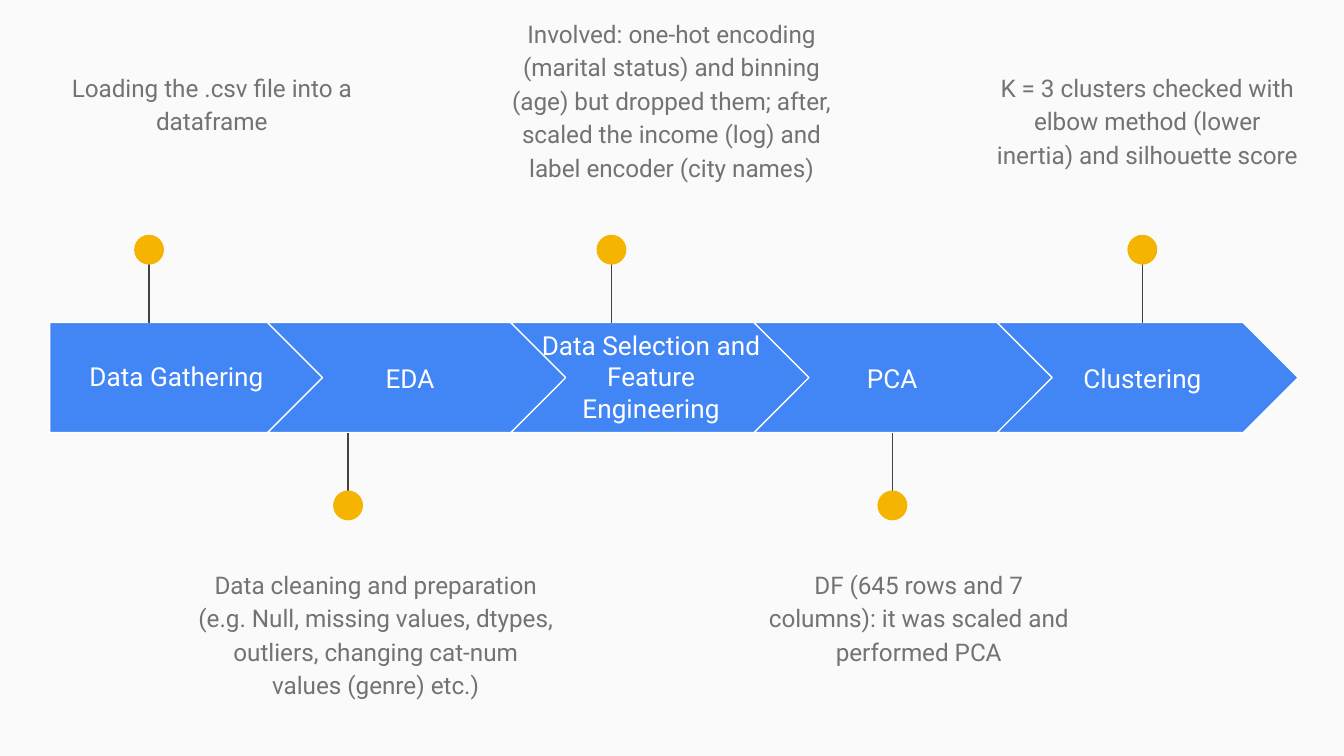
import dataclasses

import pptx
import pptx.dml.color
import pptx.enum.shapes
import pptx.enum.text
import pptx.oxml.ns
import pptx.slide
import pptx.util
from lxml import etree

Pt = pptx.util.Pt
Shape = pptx.enum.shapes.MSO_SHAPE
Anchor = pptx.enum.text.MSO_ANCHOR

FONT = "Roboto"
BACKGROUND, BLUE, WHITE = "FAFAFA", "4285F4", "FFFFFF"
YELLOW, DARK, GRAY = "F4B400", "424242", "737373"

# Arrow band, in points
BAND_TOP, BAND_HEIGHT = 172.8, 59
FIRST_LEFT, FIRST_WIDTH = 26.6, 147.6
CHEVRON_LEFT, CHEVRON_WIDTH, CHEVRON_STEP = 143.3, 161.3, 130.3

# Pins, in points
DOT_SIZE, PIN_LENGTH, DOT_OFFSET = 16, 44, 39


@dataclasses.dataclass
class Area:
    left: float
    top: float
    width: float
    height: float

    def lengths(self) -> list[pptx.util.Length]:
        return [Pt(value) for value in dataclasses.astuple(self)]


@dataclasses.dataclass
class Stage:
    label: str
    label_area: Area
    pin_x: float
    note: str
    note_area: Area


def wide_label(left: float) -> Area:
    return Area(left, 172.1, 136, 59)


def narrow_label(left: float) -> Area:
    return Area(left, 184.3, 103.7, 36.7)


# Stages alternate: notes above the band, then below it
STAGES = [
    Stage("Data Gathering", wide_label(26.6), 79.9,
          "Loading the .csv file into a dataframe",
          Area(25.2, 29.5, 176.4, 71.3)),
    Stage("EDA", narrow_label(167.8), 186.5,
          "Data cleaning and preparation (e.g. Null, missing values, dtypes, "
          "outliers, changing cat-num values (genre) etc.)",
          Area(97.9, 295.9, 206.6, 105.1)),
    Stage("Data Selection and Feature Engineering", wide_label(280.8), 327.6,
          "Involved: one-hot encoding (marital status) and binning (age) but "
          "dropped them; after, scaled the income (log) and label encoder "
          "(city names)",
          Area(259.2, 0.7, 200.9, 115.2)),
    Stage("PCA", narrow_label(426.2), 478.1,
          "DF (645 rows and 7 columns): it was scaled and performed PCA",
          Area(403.9, 295.9, 176.4, 71.3)),
    Stage("Clustering", narrow_label(560.2), 612,
          "K = 3 clusters checked with elbow method (lower inertia) and "
          "silhouette score",
          Area(526.3, 29.5, 176.4, 71.3)),
]


def color(value: str) -> pptx.dml.color.RGBColor:
    return pptx.dml.color.RGBColor.from_string(value)


def add_arrow(page: pptx.slide.Slide, index: int) -> None:
    if index == 0:
        kind, left, width = Shape.PENTAGON, FIRST_LEFT, FIRST_WIDTH
    else:
        kind, width = Shape.CHEVRON, CHEVRON_WIDTH
        left = CHEVRON_LEFT + (index - 1) * CHEVRON_STEP
    area = Area(left, BAND_TOP, width, BAND_HEIGHT)
    arrow = page.shapes.add_shape(kind, *area.lengths())
    arrow.adjustments[0] = 0.5
    arrow.shadow.inherit = False
    arrow.fill.solid()
    arrow.fill.fore_color.rgb = color(BLUE)
    arrow.line.color.rgb = color(WHITE)
    arrow.line.width = Pt(0.75)


def add_text(page: pptx.slide.Slide, area: Area, text: str, size: float,
             text_color: str, anchor: Anchor) -> pptx.text.text._Paragraph:
    box = page.shapes.add_textbox(*area.lengths())
    frame = box.text_frame
    frame.word_wrap = True
    frame.vertical_anchor = anchor
    frame.margin_left = frame.margin_right = Pt(7.2)
    frame.margin_top = frame.margin_bottom = Pt(7.2)
    para = frame.paragraphs[0]
    para.alignment = pptx.enum.text.PP_ALIGN.CENTER
    span = para.add_run()
    span.text = text
    span.font.name = FONT
    span.font.size = Pt(size)
    span.font.color.rgb = color(text_color)
    return para


def add_pin(page: pptx.slide.Slide, x: float, above: bool) -> None:
    edge = BAND_TOP if above else BAND_TOP + BAND_HEIGHT
    direction = -1 if above else 1
    group = page.shapes.add_group_shape()

    # Stem
    stem = group.shapes.add_connector(
        pptx.enum.shapes.MSO_CONNECTOR.STRAIGHT,
        Pt(x), Pt(edge + direction * PIN_LENGTH), Pt(x), Pt(edge))
    stem.line.color.rgb = color(DARK)
    stem.line.width = Pt(0.75)
    etree.SubElement(stem._element.spPr, pptx.oxml.ns.qn("a:effectLst"))

    # Head
    center = edge + direction * DOT_OFFSET
    area = Area(x - DOT_SIZE / 2, center - DOT_SIZE / 2, DOT_SIZE, DOT_SIZE)
    dot = group.shapes.add_shape(Shape.OVAL, *area.lengths())
    dot.shadow.inherit = False
    dot.fill.solid()
    dot.fill.fore_color.rgb = color(YELLOW)
    dot.line.fill.background()


def main() -> None:
    deck = pptx.Presentation()
    deck.slide_width, deck.slide_height = Pt(720), Pt(405)
    page = deck.slides.add_slide(deck.slide_layouts[6])
    page.background.fill.solid()
    page.background.fill.fore_color.rgb = color(BACKGROUND)

    for index, stage in enumerate(STAGES):
        add_arrow(page, index)
        add_text(page, stage.label_area, stage.label, 14, WHITE, Anchor.MIDDLE)
        add_pin(page, stage.pin_x, above=index % 2 == 0)
        note = add_text(page, stage.note_area, stage.note, 13, GRAY, Anchor.TOP)
        note.line_spacing = 1.15
        note.space_after = Pt(16)

    deck.save("out.pptx")


if __name__ == "__main__":
    main()
